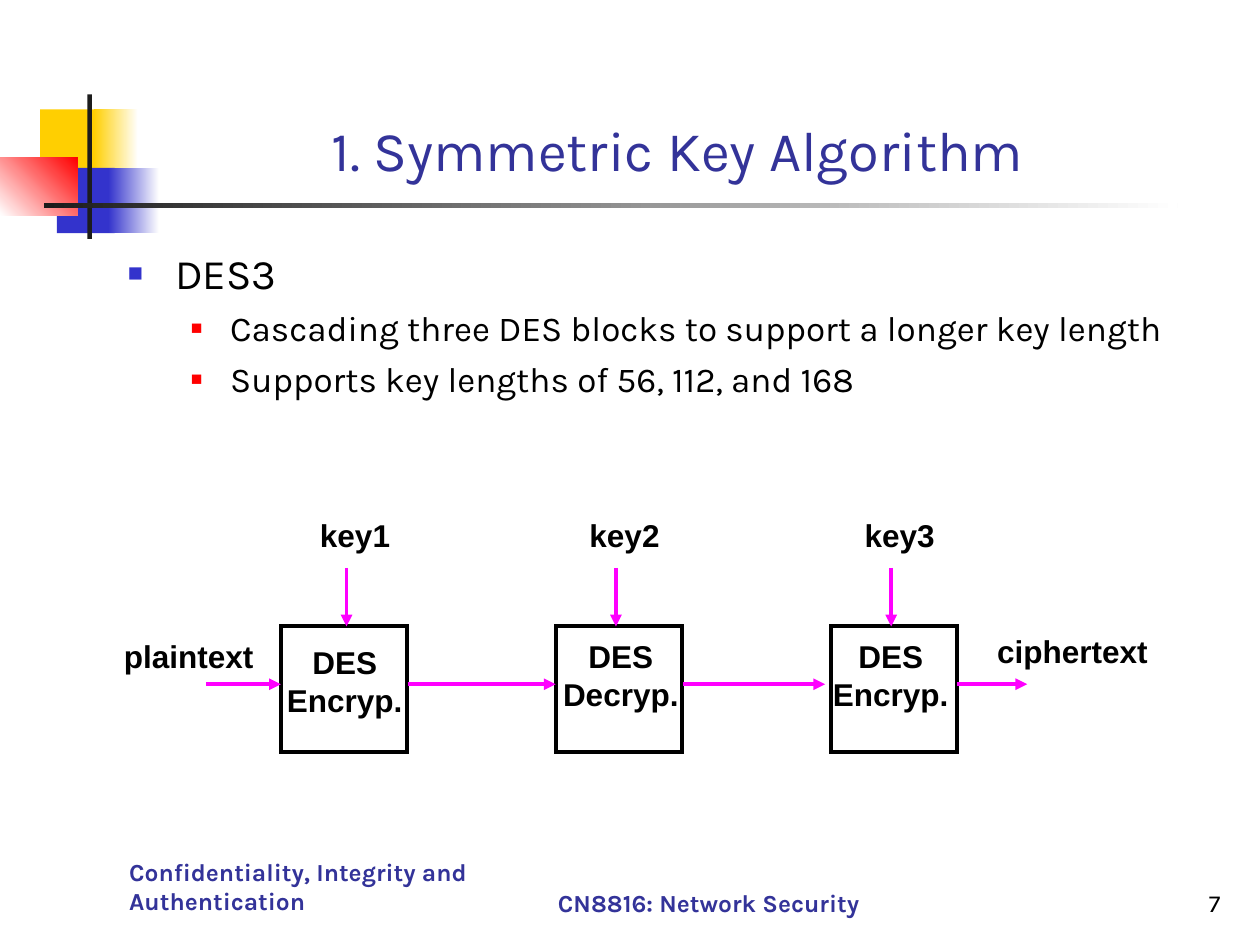
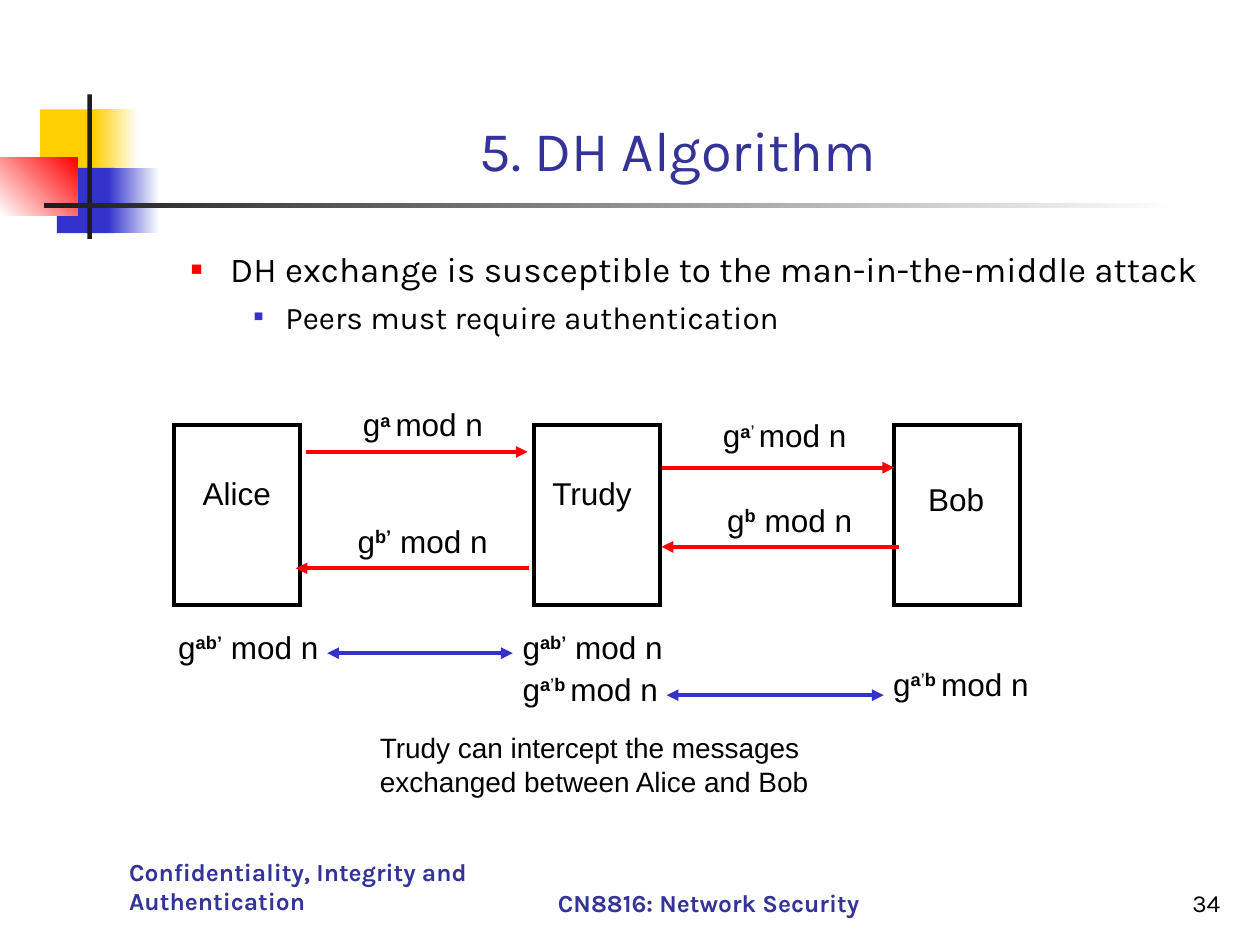
from lxml.etree import SubElement
from pptx import Presentation
from pptx.dml.color import RGBColor
from pptx.enum.shapes import MSO_CONNECTOR, MSO_SHAPE
from pptx.enum.text import MSO_ANCHOR, MSO_AUTO_SIZE, PP_ALIGN
from pptx.oxml.ns import qn
from pptx.util import Pt

# Colours and fonts
BLACK = RGBColor(0x00, 0x00, 0x00)
WHITE = RGBColor(0xFF, 0xFF, 0xFF)
CHARCOAL = RGBColor(0x1C, 0x1C, 0x1C)
YELLOW = RGBColor(0xFF, 0xCF, 0x01)
BLUE = RGBColor(0x33, 0x33, 0xCC)
INDIGO = RGBColor(0x33, 0x33, 0x99)
RED = RGBColor(0xFF, 0x00, 0x00)
MAGENTA = RGBColor(0xFF, 0x00, 0xFF)
THEME_FONT = "Karla"
DIAGRAM_FONT = "Arial"

# Bullet levels: size, space before, left margin, hanging, colour, bullet percent
LEVELS = [
    (24, 6, 27, 27, BLUE, 60),
    (20, 5, 58.5, 22.5, RED, 55),
    (18, 4.5, 90, 18, BLUE, 50),
]

# Formula parts: pairs of text and format
SUPER = {"baseline": 30}
BOLD_SUPER = {"baseline": 30, "bold": True}
G_A = [("g", {}), ("a ", BOLD_SUPER), ("mod n", {})]
G_B = [("g", {}), ("b", BOLD_SUPER), (" mod n", {})]
G_A_PRIME = [("g", {}), ("a", BOLD_SUPER), ("’ ", SUPER), ("mod n", {})]
G_B_PRIME = [("g", {}), ("b’", BOLD_SUPER), (" mod n", {})]
G_AB_PRIME = [("g", {}), ("ab’", BOLD_SUPER), (" mod n", {})]
G_A_PRIME_B = [("g", {}), ("a", BOLD_SUPER), ("’", SUPER),
               ("b ", BOLD_SUPER), ("mod n", {})]


def write(paragraph, text, size=18, font=DIAGRAM_FONT, color=BLACK,
          bold=False, baseline=0, align=None):
    """Add one formatted run to a paragraph."""
    if align is not None:
        paragraph.alignment = align
    run = paragraph.add_run()
    run.text = text
    run.font.size = Pt(size)
    run.font.name = font
    run.font.bold = bold
    run.font.color.rgb = color
    if baseline:
        run.font._element.set("baseline", str(baseline * 1000))


class Deck:
    def __init__(self):
        self.presentation = Presentation()
        self.presentation.slide_width = Pt(720)
        self.presentation.slide_height = Pt(540)
        self.slide = None

    def new_slide(self, title, number):
        layout = self.presentation.slide_layouts[5]
        self.slide = self.presentation.slides.add_slide(layout)
        self.ornament()
        self.title(title)
        self.footer(number)

    def block(self, left, top, width, height, fill=None, fade_to=None, angle=0):
        """Rectangle: solid, fading, or outlined when it has no fill."""
        rect = self.slide.shapes.add_shape(
            MSO_SHAPE.RECTANGLE, Pt(left), Pt(top), Pt(width), Pt(height))
        rect.shadow.inherit = False
        if fill is None:
            rect.fill.background()
            rect.line.color.rgb = BLACK
            rect.line.width = Pt(2.25)
            outline = rect._element.spPr.find(qn("a:ln"))
            SubElement(outline, qn("a:miter"), lim="800000")
            return
        rect.line.fill.background()
        if fade_to is None:
            rect.fill.solid()
            rect.fill.fore_color.rgb = fill
        else:
            rect.fill.gradient()
            rect.fill.gradient_angle = angle
            for stop, color in zip(rect.fill.gradient_stops, (fill, fade_to)):
                stop.color.rgb = color

    def ornament(self):
        self.block(23, 62.5, 34.5, 37.5, YELLOW)
        self.block(53.5, 62.5, 25.5, 37.5, YELLOW, WHITE)
        self.block(32.5, 96, 33, 37.25, BLUE)
        self.block(62, 96, 29, 37.25, BLUE, WHITE)
        self.block(0, 90, 44.25, 33, WHITE, RED, angle=45)
        self.block(50, 54, 2.5, 82.5, CHARCOAL)
        self.block(25, 116, 648, 2.75, CHARCOAL, WHITE)

    def title(self, text):
        heading = self.slide.shapes.title
        heading.left, heading.top = Pt(80.75), Pt(24)
        heading.width, heading.height = Pt(613.5), Pt(84)
        frame = heading.text_frame
        frame.auto_size = MSO_AUTO_SIZE.NONE
        frame.vertical_anchor = MSO_ANCHOR.BOTTOM
        write(frame.paragraphs[0], text, size=32, font=THEME_FONT,
              color=INDIGO, align=PP_ALIGN.CENTER)

    def frame(self, left, top, width, height, anchor=MSO_ANCHOR.TOP, wrap=True):
        box = self.slide.shapes.add_textbox(
            Pt(left), Pt(top), Pt(width), Pt(height))
        box.text_frame.word_wrap = wrap
        box.text_frame.vertical_anchor = anchor
        return box.text_frame

    def footer(self, number):
        for left, top, width, text, color, align in (
            (66.75, 490.75, 216, "Confidentiality, Integrity and Authentication",
             INDIGO, PP_ALIGN.LEFT),
            (288, 491.75, 234, "CN8816: Network Security",
             INDIGO, PP_ALIGN.CENTER),
            (554.5, 491.75, 150, str(number), BLACK, PP_ALIGN.RIGHT),
        ):
            frame = self.frame(left, top, width, 36, MSO_ANCHOR.BOTTOM)
            write(frame.paragraphs[0], text, size=14, font=THEME_FONT,
                  color=color, bold=color == INDIGO, align=align)

    def bullets(self, *items):
        frame = self.frame(66, 138, 639.5, 345)
        for index, (level, text) in enumerate(items):
            size, before, margin, hanging, color, percent = LEVELS[level]
            paragraph = frame.add_paragraph() if index else frame.paragraphs[0]
            paragraph.level = level
            properties = paragraph._p.get_or_add_pPr()
            properties.set("marL", str(Pt(margin)))
            properties.set("indent", str(-Pt(hanging)))
            bullet_color = SubElement(properties, qn("a:buClr"))
            SubElement(bullet_color, qn("a:srgbClr"), val=str(color))
            SubElement(properties, qn("a:buSzPct"), val=str(percent * 1000))
            SubElement(properties, qn("a:buFont"), typeface=DIAGRAM_FONT)
            SubElement(properties, qn("a:buChar"), char="■")
            paragraph.space_before = Pt(before if index else 0)
            write(paragraph, text, size=size, font=THEME_FONT)

    def label(self, left, top, width, *lines, align=PP_ALIGN.LEFT, **style):
        """Unwrapped label; a line is a string or a list of formula parts."""
        frame = self.frame(left, top, width, 7.2 + 21.6 * len(lines), wrap=False)
        frame.auto_size = MSO_AUTO_SIZE.SHAPE_TO_FIT_TEXT
        for index, line in enumerate(lines):
            paragraph = frame.add_paragraph() if index else frame.paragraphs[0]
            parts = [(line, {})] if isinstance(line, str) else line
            for text, part_style in parts:
                write(paragraph, text, align=align, **{**style, **part_style})

    def arrow(self, x1, y1, x2, y2, color, double=False):
        connector = self.slide.shapes.add_connector(
            MSO_CONNECTOR.STRAIGHT, Pt(x1), Pt(y1), Pt(x2), Pt(y2))
        connector.line.color.rgb = color
        connector.line.width = Pt(2.25)
        properties = connector._element.spPr
        line = properties.find(qn("a:ln"))
        for end in ("a:headEnd", "a:tailEnd") if double else ("a:tailEnd",):
            SubElement(line, qn(end), type="triangle")
        SubElement(properties, qn("a:effectLst"))


def triple_des(deck):
    deck.new_slide("1. Symmetric Key Algorithm", 7)
    deck.bullets(
        (0, "DES3"),
        (1, "Cascading three DES blocks to support a longer key length"),
        (1, "Supports key lengths of 56, 112, and 168"),
    )
    # Cipher stages with their keys
    stages = (("Encryp.", 155, 364, 198), ("Decryp.", 312.75, 360.5, 352),
              ("Encryp.", 467, 360.5, 509.25))
    for index, (action, text_left, text_top, key_x) in enumerate(stages):
        deck.block(160.5 + 157.25 * index, 358, 72, 72)
        deck.label(text_left, text_top, 84, "DES", action,
                   align=PP_ALIGN.CENTER, bold=True)
        deck.arrow(key_x, 324.5, key_x, 358, MAGENTA)
        deck.label(key_x - 22.25, 291.25, 57, f"key{index + 1}", bold=True)
    # Data flow
    for start, end in ((118, 160.5), (233, 317.5), (390.5, 471.5), (547, 587)):
        deck.arrow(start, 391, end, 391, MAGENTA)
    deck.label(63.75, 360.5, 91, "plaintext", bold=True)
    deck.label(562.75, 357.75, 104, "ciphertext", bold=True)


def man_in_the_middle(deck):
    deck.new_slide("5. DH Algorithm", 34)
    deck.bullets(
        (1, "DH exchange is susceptible to the man-in-the-middle attack"),
        (2, "Peers must require authentication"),
    )
    # Peers
    peers = (("Alice", 108.75, 267.25, 56), ("Trudy", 308.5, 267.25, 63),
             ("Bob", 523.25, 270.5, 50))
    for index, (name, left, top, width) in enumerate(peers):
        deck.block(99.25 + 205.75 * index, 243, 72, 103)
        deck.label(left, top, width, name)
    # Exchanged public values
    for start, end, y in ((175, 301.5, 258.25), (378, 511, 267.25),
                          (514, 378, 312.5), (302.5, 169, 324.75)):
        deck.arrow(start, y, end, y, RED)
    for left, top, width, formula in (
        (200.25, 228, 86, G_A), (406, 234.25, 88, G_A_PRIME),
        (408.5, 282.5, 89, G_B), (197.25, 294.5, 92, G_B_PRIME),
        # Shared secrets
        (94.75, 355.25, 98, G_AB_PRIME), (291.5, 355.25, 98, G_AB_PRIME),
        (291.5, 379.25, 96, G_A_PRIME_B), (503.25, 376.25, 96, G_A_PRIME_B),
    ):
        deck.label(left, top, width, formula)
    deck.arrow(187, 373.25, 293, 373.25, BLUE, double=True)
    deck.arrow(381, 397.25, 505, 397.25, BLUE, double=True)
    # Conclusion
    conclusion = deck.frame(210, 414, 282, 46)
    write(conclusion.paragraphs[0], "Trudy can intercept the messages "
          "exchanged between Alice and Bob", size=16)


def main():
    deck = Deck()
    triple_des(deck)
    man_in_the_middle(deck)
    deck.presentation.save("out.pptx")


if __name__ == "__main__":
    main()
